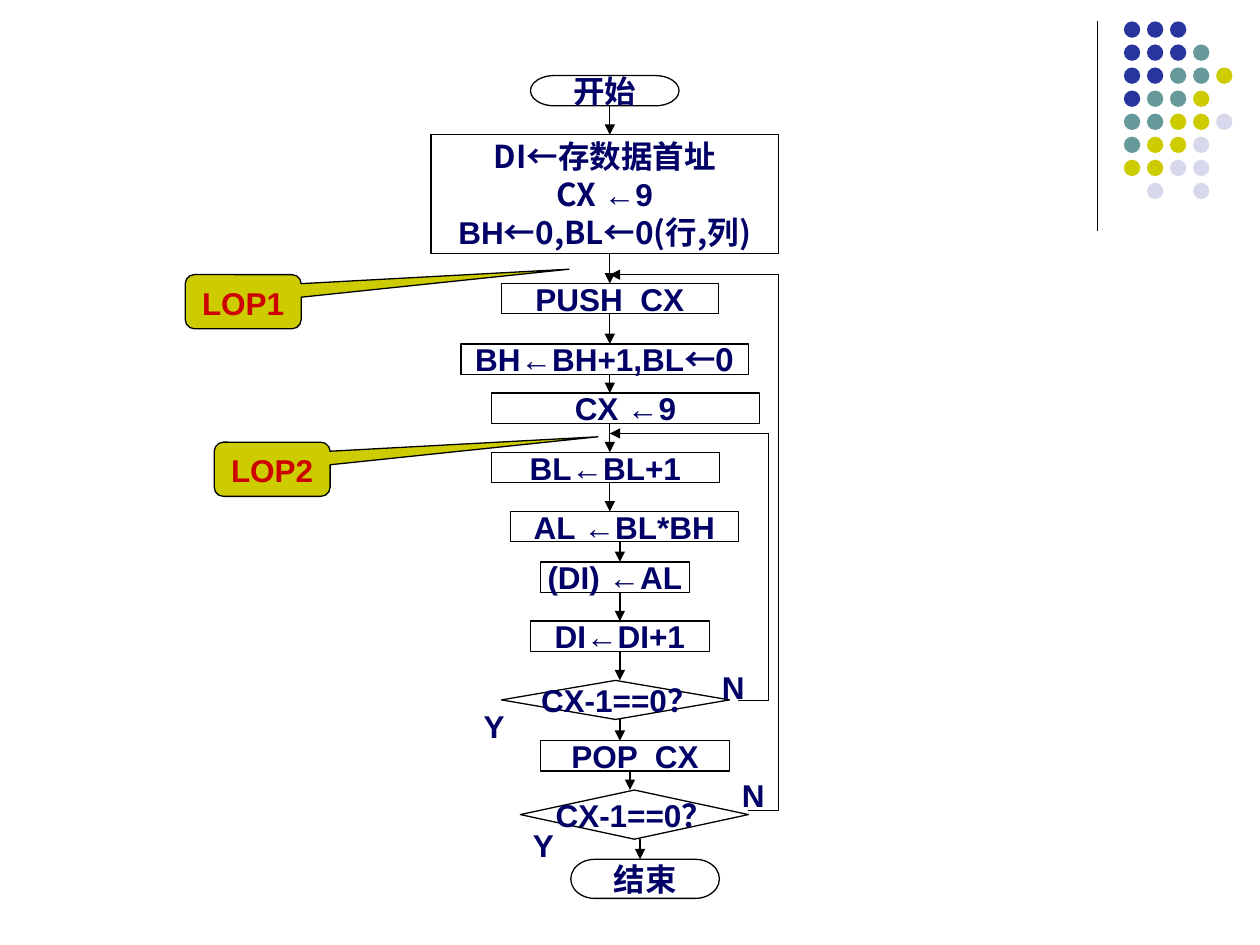
from lxml import etree
from pptx import Presentation
from pptx.dml.color import RGBColor
from pptx.enum import shapes, text
from pptx.oxml import ns
from pptx.util import Inches, Pt

ARIAL, NOTO = "Arial", "Noto Sans CJK SC"
NAVY, RED, BLACK, OLIVE = "000066", "CC0000", "000000", "CCCC00"
KIND = shapes.MSO_SHAPE


def color(value):
    return RGBColor.from_string(value)


def write(frame, lines, ink):
    frame.margin_left = frame.margin_right = Inches(0.1)
    frame.margin_top = frame.margin_bottom = Inches(0.05)
    for number, pieces in enumerate(lines):
        line = frame.add_paragraph() if number else frame.paragraphs[0]
        line.alignment = text.PP_ALIGN.CENTER
        for words, face in pieces:
            piece = line.add_run()
            piece.text = words
            piece.font.name = face
            etree.SubElement(piece.font._element, ns.qn("a:ea"), typeface=face)
            piece.font.size = Pt(18)
            piece.font.bold = True
            piece.font.color.rgb = color(ink)


prs = Presentation()
prs.slide_width, prs.slide_height = Inches(10), Inches(7.5)
slide = prs.slides.add_slide(prs.slide_layouts[6])
canvas = slide.shapes

dot_colors = {"B": "27359D", "T": "669999", "O": OLIVE, "L": "D8D8EC"}
dot_rows = ["BBB", "BBBT", "BBTTO", "BTTO", "TTOOL", "TOOL", "OOLL", " L L"]
dot_pitch = 0.183
for row, codes in enumerate(dot_rows):
    for column, code in enumerate(codes):
        if code in dot_colors:
            dot = canvas.add_shape(KIND.OVAL, Inches(8.92 + column * dot_pitch),
                                   Inches(0.17 + row * dot_pitch), Inches(0.13), Inches(0.13))
            dot.shadow.inherit = False
            dot.fill.solid()
            dot.fill.fore_color.rgb = color(dot_colors[code])
            dot.line.fill.background()

setup = [[("DI←存数据首", NOTO), ("址", ARIAL)],
         [("CX ", NOTO), ("←9", ARIAL)],
         [("BH", ARIAL), ("←0,BL←0(行,列)", NOTO)]]
next_row = [[("BH←BH+1,BL", ARIAL), ("←0", NOTO)]]
steps = [
    (KIND.FLOWCHART_TERMINATOR, 4.21, 0.6, 1.18, 0.24, "开始"),
    (KIND.FLOWCHART_PROCESS, 3.42, 1.07, 2.76, 0.94, setup),
    (KIND.FLOWCHART_PROCESS, 3.98, 2.25, 1.72, 0.24, "PUSH  CX"),
    (KIND.FLOWCHART_PROCESS, 3.66, 2.73, 2.28, 0.24, next_row),
    (KIND.FLOWCHART_PROCESS, 3.9, 3.12, 2.13, 0.24, "CX ←9"),
    (KIND.FLOWCHART_PROCESS, 3.9, 3.59, 1.81, 0.24, "BL←BL+1"),
    (KIND.FLOWCHART_PROCESS, 4.05, 4.06, 1.81, 0.24, "AL ←BL*BH"),
    (KIND.FLOWCHART_PROCESS, 4.29, 4.46, 1.18, 0.24, "(DI) ←AL"),
    (KIND.FLOWCHART_PROCESS, 4.21, 4.93, 1.42, 0.24, "DI←DI+1"),
    (KIND.FLOWCHART_DECISION, 3.98, 5.4, 1.81, 0.31, " CX-1==0？"),
    (KIND.FLOWCHART_PROCESS, 4.29, 5.88, 1.5, 0.24, "POP  CX"),
    (KIND.FLOWCHART_DECISION, 4.13, 6.27, 1.81, 0.39, "CX-1==0？"),
    (KIND.FLOWCHART_TERMINATOR, 4.53, 6.82, 1.18, 0.31, "结束"),
]
boxes = []
for kind, left, top, width, height, content in steps:
    box = canvas.add_shape(kind, Inches(left), Inches(top), Inches(width), Inches(height))
    box.shadow.inherit = False
    box.fill.background()
    box.line.color.rgb = color(BLACK)
    box.line.width = Pt(0.75)
    box.text_frame.word_wrap = False
    box.text_frame.vertical_anchor = text.MSO_ANCHOR.MIDDLE
    write(box.text_frame, [[(content, ARIAL)]] if isinstance(content, str) else content, NAVY)
    boxes.append(box)

flow_x = [4.84] * 6 + [4.92] * 4 + [5, 5.08]
routes = []
for index, x in enumerate(flow_x):
    bottom = steps[index][2] + steps[index][4]
    routes.append((x, bottom, x, steps[index + 1][2], True, boxes[index], boxes[index + 1]))
for start_x, start_y, lane_x, return_y in [(5.86, 5.56, 6.1, 3.44), (5.94, 6.43, 6.18, 2.18)]:
    routes += [(start_x, start_y, lane_x, start_y, False, None, None),
               (lane_x, start_y, lane_x, return_y, False, None, None),
               (lane_x, return_y, 4.84, return_y, True, None, None)]
routes.append((8.71, 0.17, 8.71, 1.83, False, None, None))

for x1, y1, x2, y2, arrow, source, target in routes:
    link = canvas.add_connector(shapes.MSO_CONNECTOR.STRAIGHT,
                                Inches(x1), Inches(y1), Inches(x2), Inches(y2))
    link.line.color.rgb = color(BLACK)
    link.line.width = Pt(0.75)
    if arrow:
        etree.SubElement(link.line._get_or_add_ln(), ns.qn("a:tailEnd"), type="triangle")
    etree.SubElement(link._element.spPr, ns.qn("a:effectLst"))
    if source and abs(source.left + source.width / 2 - Inches(x1)) < Inches(0.01):
        link.begin_connect(source, 2)
    if target and abs(target.left + target.width / 2 - Inches(x2)) < Inches(0.01):
        link.end_connect(target, 0)

for answer, left, top in [("N", 5.63, 5.25), ("Y", 3.74, 5.56), ("N", 5.79, 6.11), ("Y", 4.13, 6.51)]:
    branch = canvas.add_textbox(Inches(left), Inches(top), Inches(0.39), Inches(0.4))
    branch.text_frame.word_wrap = True
    write(branch.text_frame, [[(answer, ARIAL)]], NAVY)
    branch.text_frame.paragraphs[0].alignment = text.PP_ALIGN.LEFT

for label, left, top in [("LOP1", 1.47, 2.18), ("LOP2", 1.7, 3.51)]:
    callout = canvas.add_shape(KIND.ROUNDED_RECTANGULAR_CALLOUT, Inches(left), Inches(top),
                               Inches(0.92), Inches(0.43))
    for position, value in enumerate([2.81, -0.6, 0.17]):
        callout.adjustments[position] = value
    callout.shadow.inherit = False
    callout.fill.solid()
    callout.fill.fore_color.rgb = color(OLIVE)
    callout.line.color.rgb = color(BLACK)
    callout.line.width = Pt(0.75)
    callout.text_frame.word_wrap = False
    callout.text_frame.vertical_anchor = text.MSO_ANCHOR.TOP
    write(callout.text_frame, [[(label, ARIAL)]], RED)

prs.save("out.pptx")
